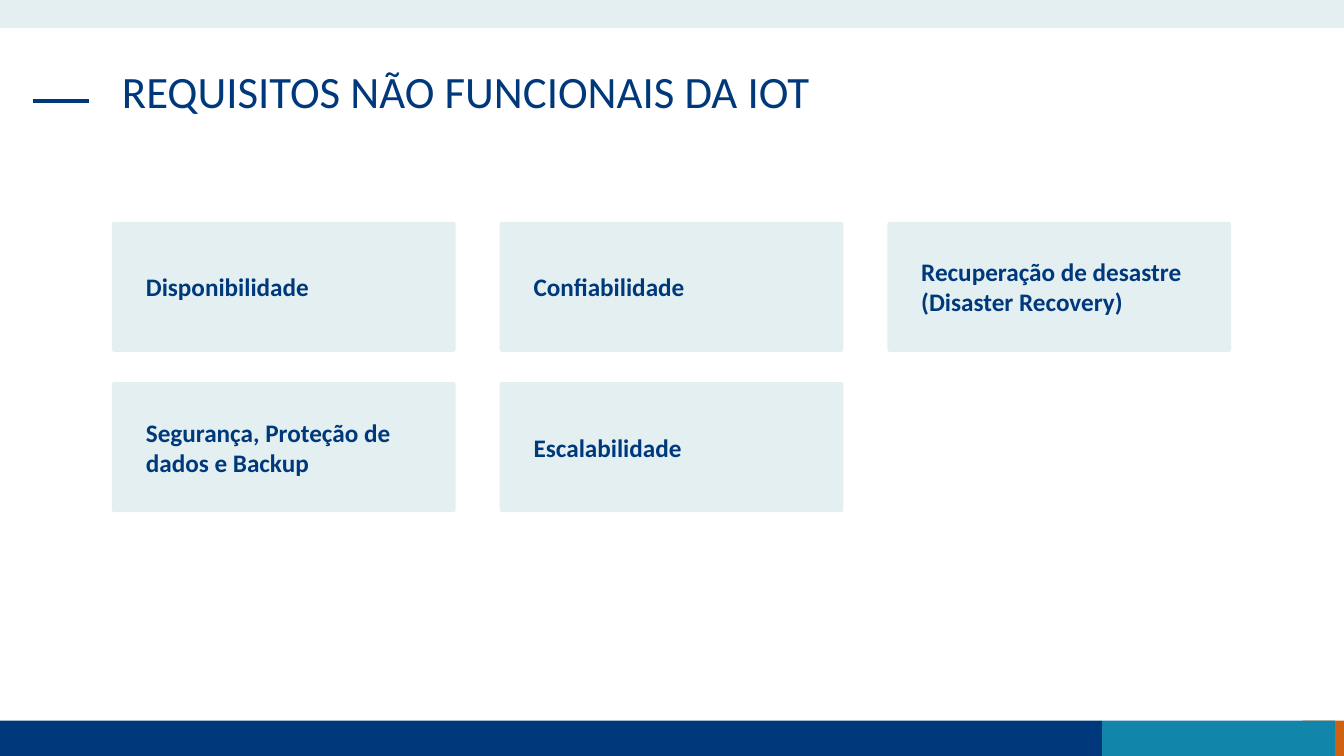
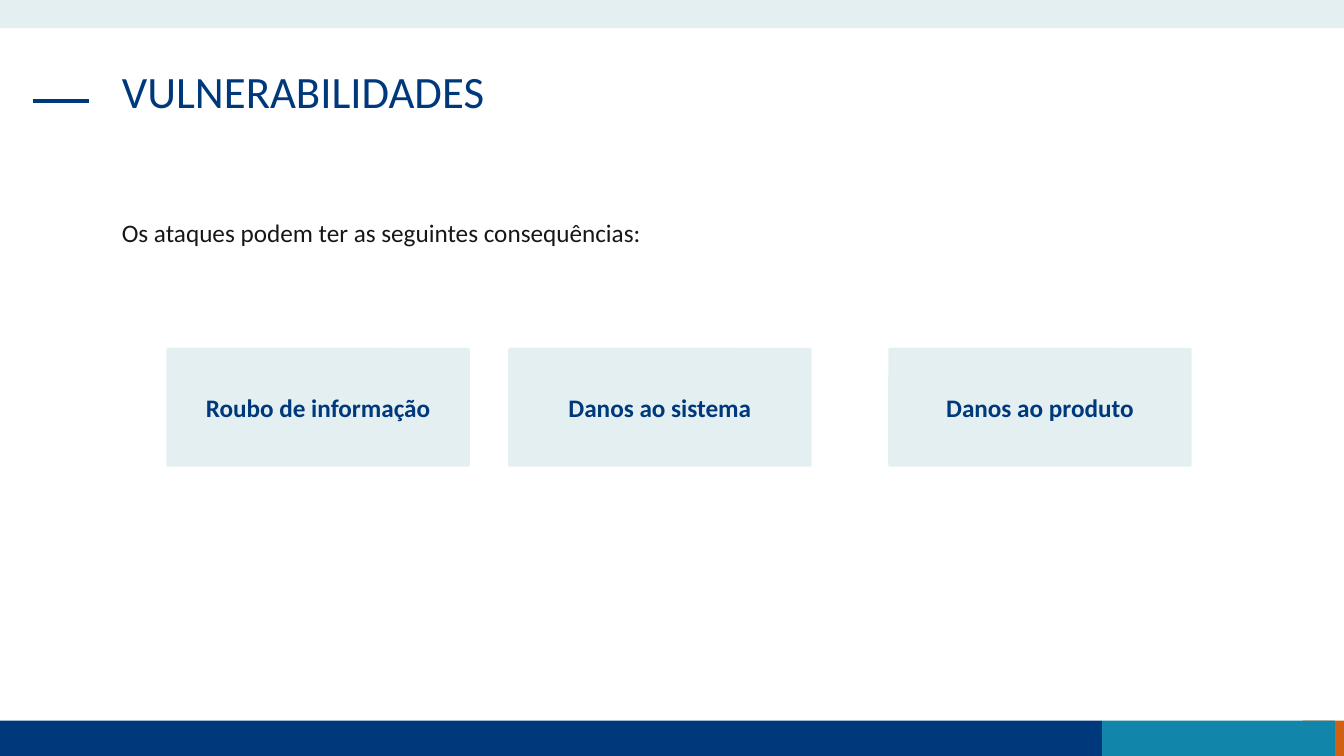
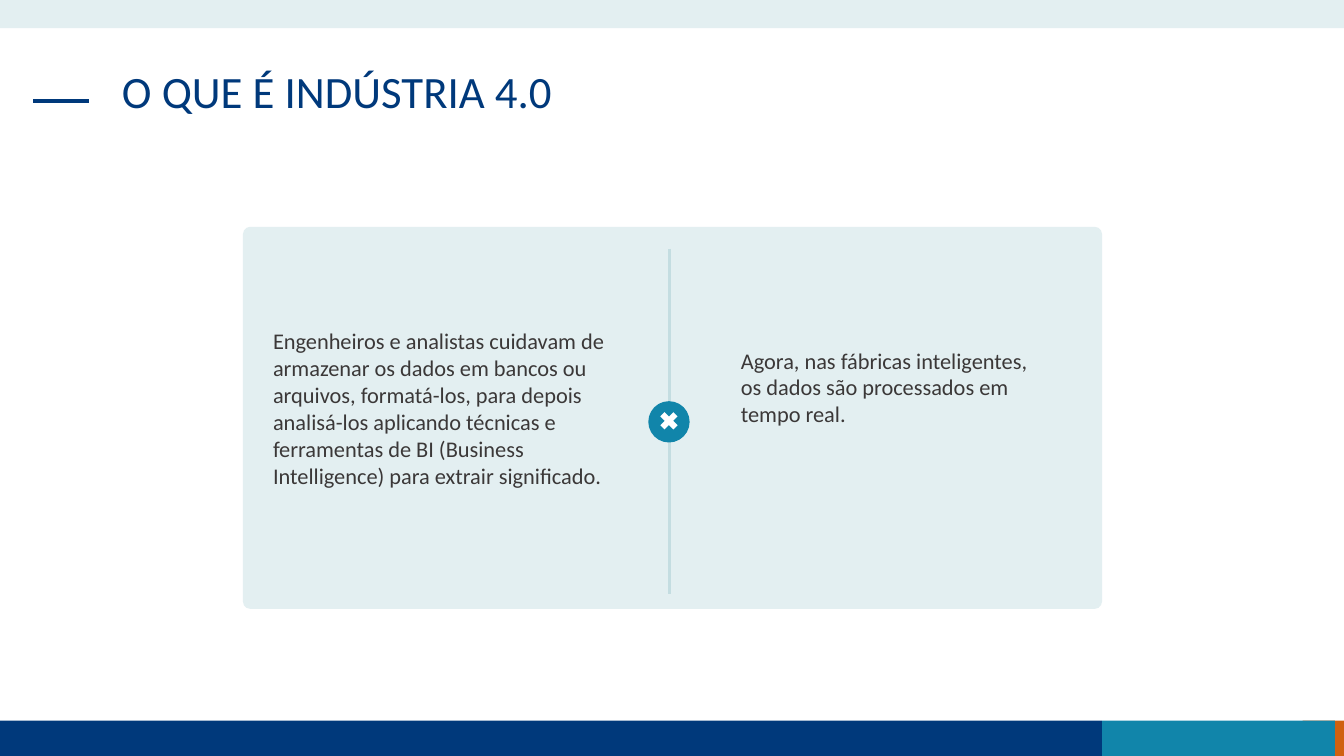
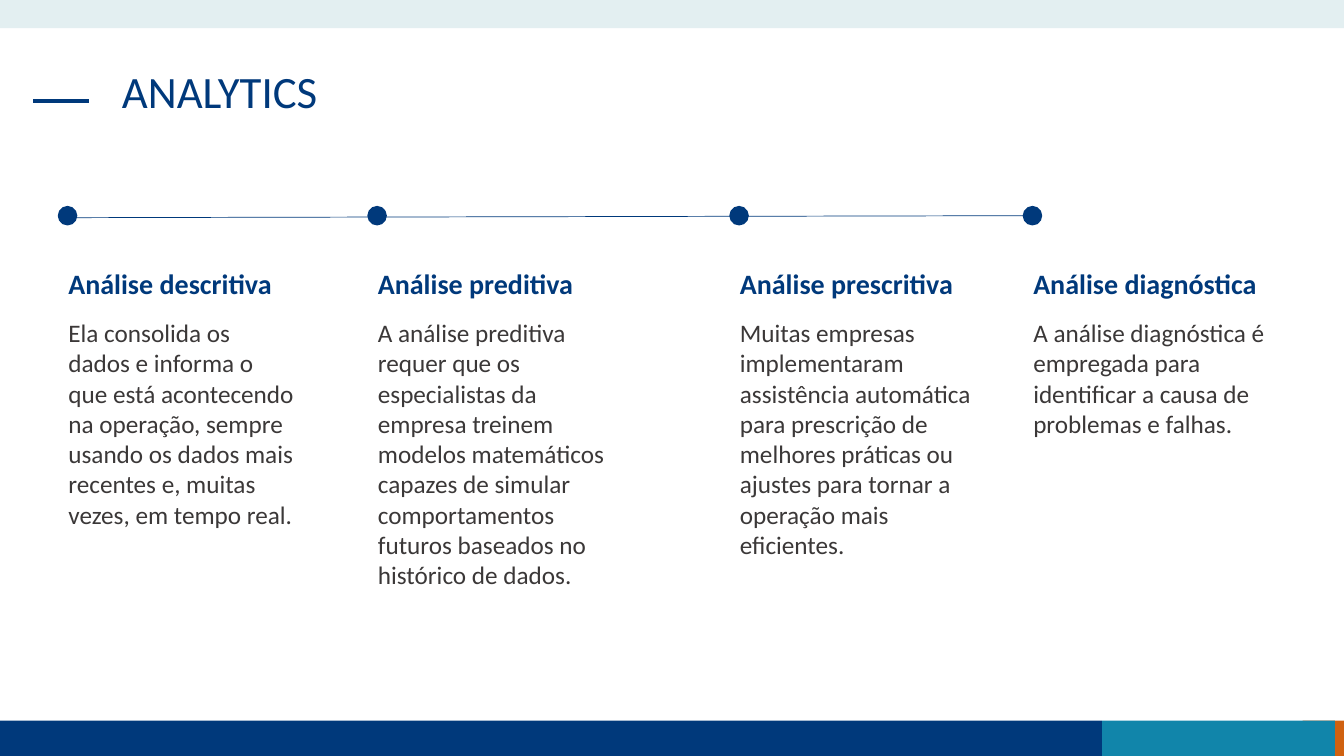
from dataclasses import dataclass

from lxml import etree
from pptx import Presentation
from pptx.dml.color import RGBColor
from pptx.enum.shapes import MSO_CONNECTOR, MSO_SHAPE
from pptx.enum.text import MSO_ANCHOR, MSO_AUTO_SIZE, PP_ALIGN
from pptx.oxml.ns import qn
from pptx.util import Inches, Pt

RECT = MSO_SHAPE.RECTANGLE
ROUND = MSO_SHAPE.ROUNDED_RECTANGLE
OVAL = MSO_SHAPE.OVAL
CROSS = MSO_SHAPE.MATH_MULTIPLY
LINE = MSO_CONNECTOR.STRAIGHT
LEFT, CENTER = PP_ALIGN.LEFT, PP_ALIGN.CENTER
TOP, MIDDLE = MSO_ANCHOR.TOP, MSO_ANCHOR.MIDDLE
FIXED = MSO_AUTO_SIZE.NONE

FONT = "Calibri"
NAVY, TEAL, ORANGE = "00397B", "1185AA", "D06110"
PALE, MIST, WHITE = "E3EFF1", "C4DDE1", "FFFFFF"
INK, GREY = "181717", "3B3838"


@dataclass
class Band:
    x: float
    y: float
    w: float
    h: float
    color: str


@dataclass
class Stage:
    x: float
    w: float
    head: str
    body: str


BANDS = [
    Band(12.92, 7.15, 0.41, 0.35, ORANGE),
    Band(0, 7.15, 10.93, 0.35, NAVY),
    Band(10.93, 7.15, 2.31, 0.35, TEAL),
    Band(0, 0, 13.33, 0.28, PALE),
]

NEEDS = [
    "Disponibilidade",
    "Confiabilidade",
    "Recuperação de desastre (Disaster Recovery)",
    "Segurança, Proteção de dados e Backup",
    "Escalabilidade",
]

HARMS = [
    (1.65, "Roubo de informação"),
    (5.04, "Danos ao sistema"),
    (8.81, "Danos ao produto"),
]

STAGES = [
    Stage(0.58, 2.45, "Análise descritiva",
          "Ela consolida os dados e informa o que está acontecendo na operação, "
          "sempre usando os dados mais recentes e, muitas vezes, em tempo real."),
    Stage(3.65, 2.56, "Análise preditiva",
          "A análise preditiva requer que os especialistas da empresa treinem "
          "modelos matemáticos capazes de simular comportamentos futuros "
          "baseados no histórico de dados."),
    Stage(7.24, 2.56, "Análise prescritiva",
          "Muitas empresas implementaram assistência automática para prescrição "
          "de melhores práticas ou ajustes para tornar a operação mais eficientes."),
    Stage(10.15, 2.56, "Análise diagnóstica",
          "A análise diagnóstica é empregada para identificar a causa de "
          "problemas e falhas."),
]


def rgb(color: str) -> RGBColor:
    return RGBColor.from_string(color)


def write(shape, text: str, *, size=18, color=NAVY, bold=False, align=LEFT,
          anchor=TOP, pad=0.1, space=1.0):
    frame = shape.text_frame
    frame.word_wrap = True
    frame.auto_size = FIXED
    frame.vertical_anchor = anchor
    frame.margin_left = frame.margin_right = Inches(pad)
    para = frame.paragraphs[0]
    para.text = text
    para.alignment = align
    para.line_spacing = space
    para.space_before = Pt(0)
    font = para.runs[0].font
    font.name, font.size, font.bold = FONT, Pt(size), bold
    font.color.rgb = rgb(color)


def label(slide, x: float, y: float, w: float, h: float, text: str, **style):
    box = slide.shapes.add_textbox(Inches(x), Inches(y), Inches(w), Inches(h))
    write(box, text, **style)


def block(slide, kind, x: float, y: float, w: float, h: float, fill: str):
    shape = slide.shapes.add_shape(kind, Inches(x), Inches(y), Inches(w), Inches(h))
    shape.shadow.inherit = False
    shape.fill.solid()
    shape.fill.fore_color.rgb = rgb(fill)
    shape.line.fill.background()
    return shape


def card(slide, x: float, y: float, w: float, h: float, text="", **style):
    shape = block(slide, ROUND, x, y, w, h, PALE)
    shape.adjustments[0] = 0.019
    if text:
        write(shape, text, bold=True, anchor=MIDDLE, **style)


def rule(slide, x1: float, y1: float, x2: float, y2: float, color: str, width: float):
    line = slide.shapes.add_connector(LINE, Inches(x1), Inches(y1), Inches(x2), Inches(y2))
    line.line.color.rgb = rgb(color)
    line.line.width = Pt(width)
    etree.SubElement(line._element.spPr, qn("a:effectLst"))


def page(deck, name: str):
    """Add a slide with the shared bands, dash and title."""
    slide = deck.slides.add_slide(deck.slide_layouts[5])
    for band in BANDS:
        block(slide, RECT, band.x, band.y, band.w, band.h, band.color)
    rule(slide, 0.33, 1, 0.88, 1, NAVY, 3)
    title = slide.shapes.title
    title.left, title.top = Inches(1.11), Inches(0.64)
    title.width, title.height = Inches(11.1), Inches(0.94)
    write(title, name, size=32, space=0.9)
    return slide


def needs(deck):
    slide = page(deck, "REQUISITOS NÃO FUNCIONAIS DA IOT")
    for i, text in enumerate(NEEDS):
        row, col = divmod(i, 3)
        card(slide, 1.11 + 3.845 * col, 2.2 + 1.59 * row, 3.41, 1.29, text, pad=0.33)


def harms(deck):
    slide = page(deck, "VULNERABILIDADES")
    label(slide, 1.11, 2.11, 11.56, 0.4,
          "Os ataques podem ter as seguintes consequências:", color=INK)
    for x, text in HARMS:
        card(slide, x, 3.45, 3.01, 1.18, text, align=CENTER)


def shift(deck):
    slide = page(deck, "O QUE É INDÚSTRIA 4.0")
    card(slide, 2.41, 2.25, 8.52, 3.79)
    label(slide, 2.61, 3.2, 3.57, 1.72,
          "Engenheiros e analistas cuidavam de armazenar os dados em bancos ou "
          "arquivos, formatá-los, para depois analisá-los aplicando técnicas e "
          "ferramentas de BI (Business Intelligence) para extrair significado.",
          size=16, color=GREY)
    label(slide, 7.25, 3.39, 3.25, 0.91,
          "Agora, nas fábricas inteligentes, os dados são processados em tempo real.",
          size=16, color=GREY)
    # Divider with its round badge
    rule(slide, 6.64, 2.47, 6.64, 5.89, MIST, 1.5)
    block(slide, OVAL, 6.43, 3.98, 0.41, 0.41, TEAL)
    block(slide, CROSS, 6.51, 4.05, 0.25, 0.25, WHITE)


def stages(deck):
    slide = page(deck, "ANALYTICS")
    # Timeline
    rule(slide, STAGES[0].x, 2.16, STAGES[-1].x, 2.14, NAVY, 0.5)
    for stage in STAGES:
        dot = block(slide, OVAL, stage.x, 2.05, 0.18, 0.18, NAVY)
        dot.line.color.rgb = rgb(NAVY)
        dot.line.width = Pt(1)
        label(slide, stage.x, 2.59, 3.06, 0.44, stage.head, size=20, bold=True)
        label(slide, stage.x, 3.1, stage.w, 2.83, stage.body, color=GREY)


def main():
    deck = Presentation()
    deck.slide_width, deck.slide_height = Inches(13.33), Inches(7.5)
    for build in (needs, harms, shift, stages):
        build(deck)
    deck.save("out.pptx")


if __name__ == "__main__":
    main()
